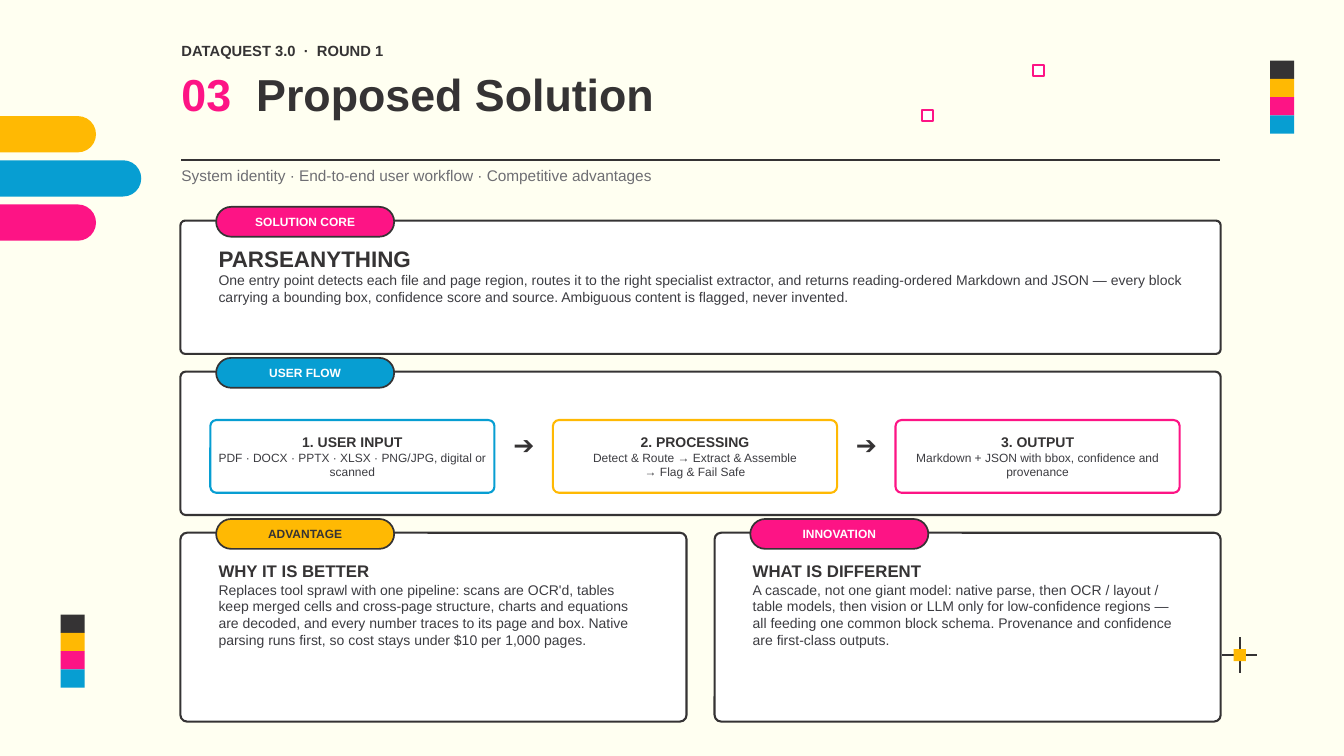
from lxml import etree
from pptx import Presentation
from pptx import util as u
from pptx.dml.color import RGBColor
from pptx.enum import shapes, text
from pptx.oxml.ns import qn

COLORS = {
    "cream": "FFFFF1", "white": "FFFFFF", "ink": "353334", "body": "3C3C41",
    "grey": "6E6E73", "amber": "FFB903", "blue": "079ED2", "pink": "FD1485",
}


def color(name):
    return RGBColor.from_string(COLORS[name])


def add_run(p, words, size=15, fill="ink", bold=False, font="Arial"):
    r = p.add_run()
    r.text = words
    r.font.size, r.font.bold, r.font.name = u.Pt(size), bold, font
    r.font.color.rgb = color(fill)


def write(tf, paragraphs, align=text.PP_ALIGN.LEFT, inset=0,
          anchor=text.MSO_ANCHOR.TOP):
    """Fill a text frame; each paragraph is (line spacing in points, runs)."""
    tf.word_wrap = True
    tf.vertical_anchor = anchor
    tf.margin_left = tf.margin_right = u.Cm(inset)
    tf.margin_top = tf.margin_bottom = u.Cm(inset)
    for i, (spacing, runs) in enumerate(paragraphs):
        p = tf.add_paragraph() if i else tf.paragraphs[0]
        p.alignment, p.line_spacing = align, u.Pt(spacing)
        for words, style in runs:
            add_run(p, words, **style)


def heading(words, size=15):
    return size * 1.2, [(words, dict(size=size, bold=True))]


def body(words, size=15):
    return size * 1.2, [(words, dict(size=size, fill="body"))]


class Deck:
    """Holds the house style and the current slide; lengths are in cm."""

    def __init__(self, prs):
        self.s = prs.slides.add_slide(prs.slide_layouts[6])
        self.s.background.fill.solid()
        self.s.background.fill.fore_color.rgb = color("cream")

    def box(self, x, y, w, h, fill="white", line=None, width=2.25, radius=0):
        kind = shapes.MSO_SHAPE.ROUNDED_RECTANGLE if radius else shapes.MSO_SHAPE.RECTANGLE
        sp = self.s.shapes.add_shape(kind, u.Cm(x), u.Cm(y), u.Cm(w), u.Cm(h))
        sp.shadow.inherit = False
        if radius:
            sp.adjustments[0] = min(0.5, radius / min(w, h))
        sp.fill.solid()
        sp.fill.fore_color.rgb = color(fill)
        if line:
            sp.line.color.rgb = color(line)
            sp.line.width = u.Pt(width)
        else:
            sp.line.fill.background()
        return sp

    def line(self, x1, y1, x2, y2, width=2.25):
        c = self.s.shapes.add_connector(
            shapes.MSO_CONNECTOR.STRAIGHT, u.Cm(x1), u.Cm(y1), u.Cm(x2), u.Cm(y2))
        c.line.color.rgb = color("ink")
        c.line.width = u.Pt(width)
        etree.SubElement(c._element.spPr, qn("a:effectLst"))

    def label(self, x, y, w, h, paragraphs, **layout):
        tb = self.s.shapes.add_textbox(u.Cm(x), u.Cm(y), u.Cm(w), u.Cm(h))
        write(tb.text_frame, paragraphs, **layout)

    def centred_box(self, x, y, w, h, paragraphs, **look):
        sp = self.box(x, y, w, h, **look)
        write(sp.text_frame, paragraphs, text.PP_ALIGN.CENTER, 0.1, text.MSO_ANCHOR.MIDDLE)

    def swatches(self, x, y):
        for i, fill in enumerate(("ink", "amber", "pink", "blue")):
            self.box(x, y + i * 0.69, 0.91, 0.69, fill)

    def card(self, x, y, w, h, radius, tag, fill, tag_color="white"):
        """Draw a framed panel with its pill tag on the top edge."""
        self.box(x, y, w, h, line="ink", radius=radius)
        style = dict(size=12.8, fill=tag_color, bold=True)
        self.centred_box(x + 1.35, y - 0.52, 6.73, 1.13, [(15.3, [(tag, style)])],
                         fill=fill, line="ink", width=1.8, radius=1)


def add_decor(deck):
    for i, (fill, w) in enumerate((("amber", 4.39), ("blue", 6.1), ("pink", 4.39))):
        deck.box(-0.76, 4.39 + i * 1.67, w, 1.37, fill, radius=1)
    deck.swatches(48.01, 2.29)
    deck.swatches(2.29, 23.24)
    cx, cy, arm, half = 46.86, 24.77, 0.67, 0.23
    deck.line(cx - arm, cy, cx + arm, cy, 2.5)
    deck.line(cx, cy - arm, cx, cy + arm, 2.5)
    deck.box(cx - half, cy - half, 2 * half, 2 * half, "amber")
    for x, y in ((34.85, 4.17), (39.04, 2.46)):
        deck.box(x, y, 0.41, 0.41, line="pink", width=2.1)


def add_header(deck):
    left, w = 6.86, 39.24
    deck.label(left, 1.57, 34.29, 1.17,
               [(18.9, [("DATAQUEST 3.0  ·  ROUND 1", dict(size=15.8, bold=True))])])
    deck.label(left, 2.54, 38.1, 3.3, [(57.6, [
        ("03  ", dict(size=48, fill="pink", bold=True)),
        ("Proposed Solution", dict(size=48, bold=True))])])
    deck.line(left, 6.06, left + w, 6.06)
    deck.label(left, 6.27, w, 1.4, [(19.8, [
        ("System identity · End-to-end user workflow · Competitive advantages",
         dict(size=16.5, fill="grey"))])])


def add_core(deck, left, w):
    deck.card(left, 8.34, w, 5.04, 0.18, "SOLUTION CORE", "pink")
    deck.label(left + 1.44, 9.25, 36.45, 3.58, [
        heading("PARSEANYTHING", 24),
        body("One entry point detects each file and page region, routes it to the right "
             "specialist extractor, and returns reading-ordered Markdown and JSON — every "
             "block carrying a bounding box, confidence score and source. Ambiguous content "
             "is flagged, never invented.")])


def add_flow(deck, left, w):
    deck.card(left, 14.05, w, 5.42, 0.2, "USER FLOW", "blue")
    steps = [
        ("blue", "1. USER INPUT", ["PDF · DOCX · PPTX · XLSX · PNG/JPG, digital or scanned"]),
        ("amber", "2. PROCESSING",
         ["Detect & Route → Extract & Assemble", "→ Flag & Fail Safe"]),
        ("pink", "3. OUTPUT", ["Markdown + JSON with bbox, confidence and provenance"]),
    ]
    step_w, pitch = 10.74, 12.95
    for i, (line, title, lines) in enumerate(steps):
        x = left + 1.13 + i * pitch
        if i:
            arrow = ("➔", dict(size=27, bold=True, font="Calibri"))
            deck.label(x - 1.78, 16.23, 1.37, 1.68, [(32.4, [arrow])],
                       align=text.PP_ALIGN.CENTER)
        deck.centred_box(x, 15.88, step_w, 2.75,
                         [heading(title)] + [body(words, 12.8) for words in lines],
                         line=line, radius=0.23)


def add_claims(deck, left):
    claims = [
        ("ADVANTAGE", "amber", "ink", "WHY IT IS BETTER",
         "Replaces tool sprawl with one pipeline: scans are OCR'd, tables keep merged cells "
         "and cross-page structure, charts and equations are decoded, and every number "
         "traces to its page and box. Native parsing runs first, so cost stays under $10 "
         "per 1,000 pages."),
        ("INNOVATION", "pink", "white", "WHAT IS DIFFERENT",
         "A cascade, not one giant model: native parse, then OCR / layout / table models, "
         "then vision or LLM only for low-confidence regions — all feeding one common block "
         "schema. Provenance and confidence are first-class outputs."),
    ]
    for i, (tag, fill, tag_color, title, words) in enumerate(claims):
        x = left + i * 20.19
        deck.card(x, 20.14, 19.13, 7.14, 0.25, tag, fill, tag_color)
        deck.label(x + 1.44, 21.21, 16.26, 5.33, [heading(title, 18), body(words)])


def main():
    prs = Presentation()
    prs.slide_width, prs.slide_height = u.Cm(50.8), u.Cm(28.58)
    deck = Deck(prs)
    left, w = 6.82, 39.32
    add_decor(deck)
    add_header(deck)
    add_core(deck, left, w)
    add_flow(deck, left, w)
    add_claims(deck, left)
    prs.save("out.pptx")


if __name__ == "__main__":
    main()
